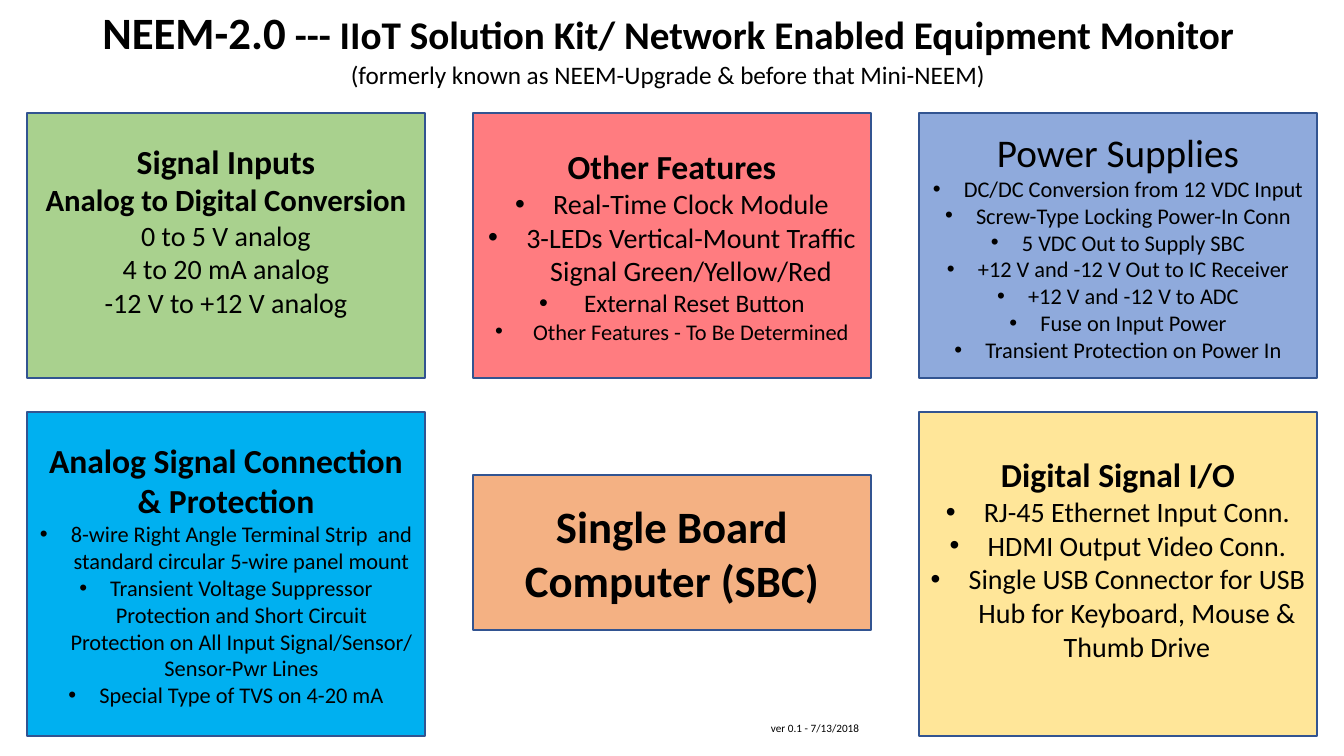
from lxml import etree
from pptx import Presentation
from pptx.dml.color import RGBColor
from pptx.enum.shapes import MSO_SHAPE
from pptx.enum.text import MSO_ANCHOR, MSO_AUTO_SIZE, PP_ALIGN
from pptx.oxml.ns import qn
from pptx.util import Pt

RECTANGLE = MSO_SHAPE.RECTANGLE
TOP, MIDDLE = MSO_ANCHOR.TOP, MSO_ANCHOR.MIDDLE
NO_FIT = MSO_AUTO_SIZE.NONE
CENTER = PP_ALIGN.CENTER

BLACK = RGBColor(0x00, 0x00, 0x00)
BORDER = RGBColor(0x32, 0x54, 0x91)
GREEN = RGBColor(0xA9, 0xD1, 0x8E)
RED = RGBColor(0xFF, 0x7C, 0x80)
BLUE = RGBColor(0x8F, 0xAA, 0xDC)
CYAN = RGBColor(0x00, 0xB0, 0xF0)
ORANGE = RGBColor(0xF4, 0xB1, 0x83)
YELLOW = RGBColor(0xFF, 0xE6, 0x99)

FONT = "Calibri"
EMU_PER_PIXEL = 914400 / 100.8
LEFT, COLUMN_STEP, BOX_WIDTH = 27, 446, 398
UPPER_ROW = (113, 265)
LOWER_ROW = (412, 324)
COMPUTER_ROW = (475, 155)
INSET, RAISED_INSET = 5, 36
NARROW, WIDE, WIDER = 31, 38, 45


def px(pixels):
    """Turn whole pixels into EMU."""
    return round(pixels * EMU_PER_PIXEL)


def add_span(para, text, size, bold=False):
    """Append one formatted run to a paragraph."""
    span = para.add_run()
    span.text = text
    span.font.name = FONT
    span.font.size = Pt(size)
    span.font.bold = bold
    span.font.color.rgb = BLACK


deck = Presentation()
deck.slide_width, deck.slide_height = px(1344), px(756)
page = deck.slides.add_slide(deck.slide_layouts[5])

# Title and subtitle
title = page.shapes.title
title.left, title.top, title.width, title.height = px(61), 0, px(1214), px(95)
frame = title.text_frame
frame.auto_size = NO_FIT
frame.vertical_anchor = TOP
para = frame.paragraphs[0]
para.alignment = CENTER
add_span(para, "NEEM-2.0", 32, True)
add_span(para, " ", 28)
add_span(para, "--- IIoT Solution Kit/ Network Enabled Equipment Monitor", 28, True)
para = frame.add_paragraph()
para.alignment = CENTER
add_span(para, "(formerly known as NEEM-Upgrade & before that Mini-NEEM)", 18)

# Each box: column, row, fill, bottom inset, then lines of
# (text, size, bold, bullet indent)
BOXES = [
    (0, UPPER_ROW, GREEN, RAISED_INSET, [
        ("Signal Inputs", 24, True, 0),
        ("Analog to Digital Conversion", 22, True, 0),
        ("0 to 5 V analog", 20, False, 0),
        ("4 to 20 mA analog", 20, False, 0),
        ("-12 V to +12 V analog", 20, False, 0),
    ]),
    (1, UPPER_ROW, RED, INSET, [
        ("Other Features", 24, True, 0),
        ("Real-Time Clock Module", 20, False, WIDE),
        ("3-LEDs Vertical-Mount Traffic Signal Green/Yellow/Red", 20, False, WIDE),
        ("External Reset Button", 18, False, WIDER),
        ("Other Features - To Be Determined", 16, False, WIDE),
    ]),
    (2, UPPER_ROW, BLUE, INSET, [
        ("Power Supplies", 28, False, 0),
        ("DC/DC Conversion from 12 VDC Input", 16, False, NARROW),
        ("Screw-Type Locking Power-In Conn", 16, False, NARROW),
        ("5 VDC Out to Supply SBC", 16, False, NARROW),
        ("+12 V and -12 V Out to IC Receiver", 16, False, NARROW),
        ("+12 V and -12 V to ADC", 16, False, NARROW),
        ("Fuse on Input Power", 16, False, NARROW),
        ("Transient Protection on Power In", 16, False, NARROW),
    ]),
    (0, LOWER_ROW, CYAN, INSET, [
        ("Analog Signal Connection & Protection", 24, True, 0),
        ("8-wire Right Angle Terminal Strip  and standard circular "
         "5-wire panel mount", 16, False, NARROW),
        ("Transient Voltage Suppressor Protection and Short Circuit "
         "Protection on All Input Signal/Sensor/ Sensor-Pwr Lines",
         16, False, NARROW),
        ("Special Type of TVS on 4-20 mA", 16, False, NARROW),
    ]),
    (1, COMPUTER_ROW, ORANGE, INSET, [
        ("Single Board Computer (SBC)", 32, True, 0),
    ]),
    (2, LOWER_ROW, YELLOW, RAISED_INSET, [
        ("Digital Signal I/O", 24, True, 0),
        ("RJ-45 Ethernet Input Conn.", 20, False, WIDE),
        ("HDMI Output Video Conn.", 20, False, WIDE),
        ("Single USB Connector for USB Hub for Keyboard, Mouse & "
         "Thumb Drive", 20, False, WIDE),
    ]),
]

for column, (top, height), fill, bottom_inset, lines in BOXES:
    box = page.shapes.add_shape(RECTANGLE, px(LEFT + column * COLUMN_STEP),
                                px(top), px(BOX_WIDTH), px(height))
    box.shadow.inherit = False
    box.fill.solid()
    box.fill.fore_color.rgb = fill
    box.line.color.rgb = BORDER
    box.line.width = Pt(1)
    frame = box.text_frame
    frame.word_wrap = True
    frame.vertical_anchor = MIDDLE
    frame.margin_bottom = px(bottom_inset)
    for number, (text, size, bold, indent) in enumerate(lines):
        para = frame.add_paragraph() if number else frame.paragraphs[0]
        para.alignment = CENTER
        add_span(para, text, size, bold)
        if indent:
            properties = para._p.get_or_add_pPr()
            properties.set("marL", str(px(indent)))
            properties.set("indent", str(-px(indent)))
            etree.SubElement(properties, qn("a:buFont"), typeface="Arial")
            etree.SubElement(properties, qn("a:buChar"), char="•")

# Version note
version = page.shapes.add_textbox(px(761), px(716), px(109), px(24))
version.text_frame.word_wrap = False
add_span(version.text_frame.paragraphs[0], "ver 0.1 - 7/13/2018", 8)

deck.save("out.pptx")
